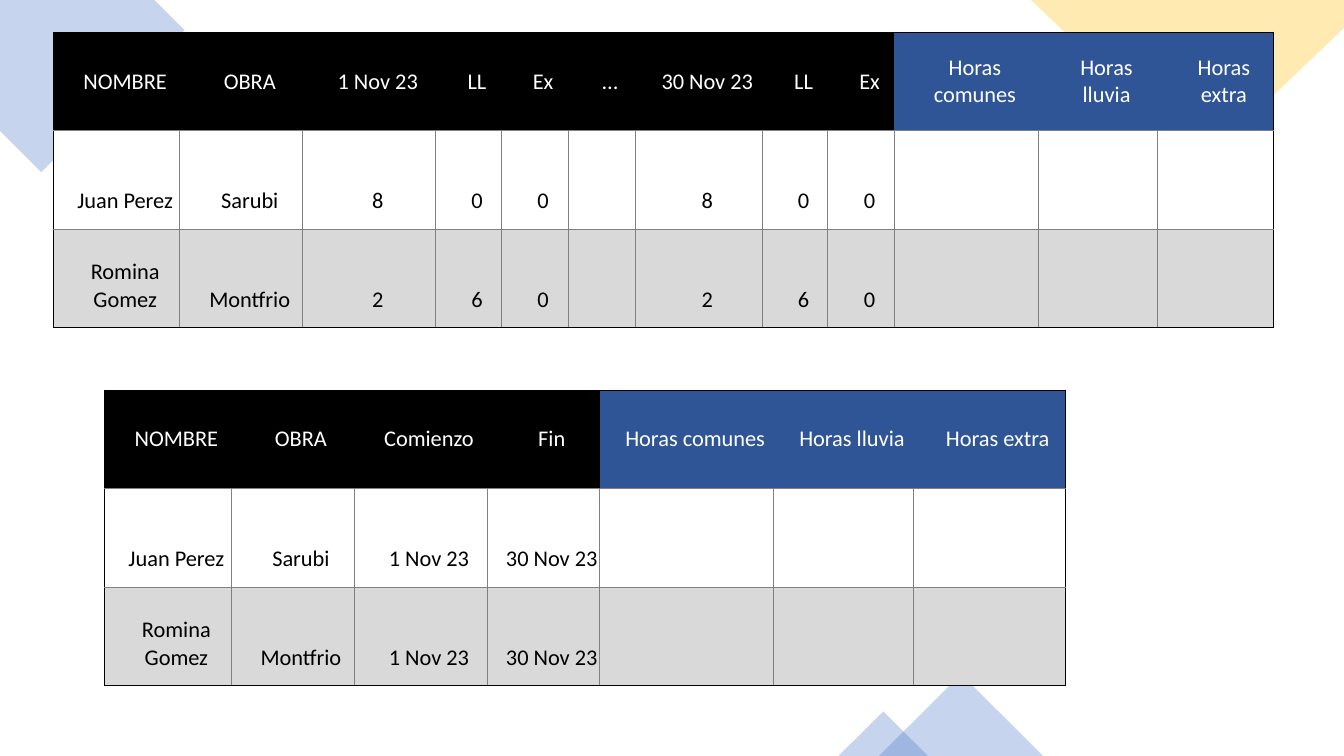
from lxml.etree import SubElement
from pptx import Presentation
from pptx.dml.color import RGBColor
from pptx.enum.shapes import MSO_SHAPE as Preset
from pptx.enum.text import MSO_ANCHOR as Anchor, PP_ALIGN as Align
from pptx.oxml.ns import qn
from pptx.util import Cm, Pt

BLACK = RGBColor(0x00, 0x00, 0x00)
WHITE = RGBColor(0xFF, 0xFF, 0xFF)
GRAY = RGBColor(0x80, 0x80, 0x80)
LIGHT_GRAY = RGBColor(0xD9, 0xD9, 0xD9)
BLUE = RGBColor(0x44, 0x72, 0xC4)
DARK_BLUE = RGBColor(0x2F, 0x55, 0x97)
GOLD = RGBColor(0xFF, 0xC0, 0x00)

PLAIN_TABLE_STYLE = "{2D5ABB26-0587-4C30-8999-92F81FD0307C}"
TOTALS = ["Horas comunes", "Horas lluvia", "Horas extra"]


class SlideBuilder:
    """Hold the shared style and the slide being built."""

    font_name = "Calibri"
    font_size = Pt(16)
    opacity = 30
    row_height = Cm(2.48)
    outer_edge = (BLACK, Pt(1))
    inner_edge = (GRAY, Pt(0.5))

    def __init__(self, slide):
        """Start on the given slide."""
        self.slide = slide

    def tint(self, shape, color):
        """Give a decorative shape a translucent fill and no outline."""
        shape.shadow.inherit = False
        shape.line.fill.background()
        shape.fill.solid()
        shape.fill.fore_color.rgb = color
        color_element = shape.fill._xPr.find(qn("a:solidFill"))[0]
        SubElement(color_element, qn("a:alpha"), val=str(self.opacity * 1000))

    def preset(self, kind, left, top, width, height, color, rotation=0):
        """Add a translucent preset shape, measured in centimetres."""
        shape = self.slide.shapes.add_shape(
            kind, Cm(left), Cm(top), Cm(width), Cm(height))
        shape.rotation = rotation
        self.tint(shape, color)

    def polygon(self, points, color):
        """Add a translucent closed outline through points in centimetres."""
        start, *others = [(Cm(x), Cm(y)) for x, y in points]
        builder = self.slide.shapes.build_freeform(*start, scale=1.0)
        builder.add_line_segments(others, close=True)
        self.tint(builder.convert_to_shape(), color)

    def table(self, left, top, widths, rows):
        """Add an hours table whose last columns are the totals."""
        frame = self.slide.shapes.add_table(
            len(rows), len(widths), Cm(left), Cm(top),
            Cm(sum(widths)), self.row_height * len(rows))
        table = frame.table
        table._tbl.tblPr.find(qn("a:tableStyleId")).text = PLAIN_TABLE_STYLE
        table.first_row = table.horz_banding = False
        for column, width in zip(table.columns, widths):
            column.width = Cm(width)
        last_row, last_column = len(rows) - 1, len(widths) - 1
        fills = [BLACK, WHITE, LIGHT_GRAY]
        for row, texts in enumerate(rows):
            table.rows[row].height = self.row_height
            for column, text in enumerate(texts):
                cell = table.cell(row, column)
                is_header = row == 0
                is_total = column > last_column - len(TOTALS)
                self.borders(cell, {
                    "L": column == 0, "R": column == last_column,
                    "T": row == 0, "B": row == last_row}, is_header)
                cell.fill.solid()
                cell.fill.fore_color.rgb = (
                    DARK_BLUE if is_header and is_total else fills[row])
                if text:
                    self.cell_text(cell, text, is_header)

    def borders(self, cell, outer_sides, is_header):
        """Draw the table's outline, and inner lines below the header."""
        properties = cell._tc.get_or_add_tcPr()
        for side, is_outer in outer_sides.items():
            if is_header and not is_outer:
                continue
            color, width = self.outer_edge if is_outer else self.inner_edge
            line = SubElement(properties, qn(f"a:ln{side}"), w=str(width))
            fill = SubElement(line, qn("a:solidFill"))
            SubElement(fill, qn("a:srgbClr"), val=str(color))

    def cell_text(self, cell, text, is_header):
        """Write centred text, in the middle of headers, else at the bottom."""
        cell.margin_left, cell.margin_right = Cm(0.46), Cm(0.03)
        cell.margin_top = cell.margin_bottom = Cm(0.36)
        cell.vertical_anchor = Anchor.MIDDLE if is_header else Anchor.BOTTOM
        cell.text_frame.text = text
        paragraph = cell.text_frame.paragraphs[0]
        paragraph.alignment = Align.CENTER
        font = paragraph.runs[0].font
        font.name, font.size = self.font_name, self.font_size
        font.color.rgb = WHITE if is_header else BLACK


def add_decoration(builder):
    """Add the corner shapes behind the tables."""
    builder.polygon(
        [(3.89, 0), (0, 0), (0, 3.3), (1.04, 4.34), (4.65, 0.76)], BLUE)
    builder.preset(Preset.RECTANGLE, 2.49, 1.17, 1.8, 1.8, BLUE, 315)
    builder.preset(Preset.RECTANGLE, 27.89, 1.83, 1.9, 1.9, GOLD, 315)
    builder.polygon(
        [(33.87, 0), (25.98, 0), (30.3, 4.11), (33.87, 0.71)], GOLD)
    builder.preset(Preset.ISOSCELES_TRIANGLE, 22.15, 16.99, 4.14, 2.06, BLUE)
    builder.preset(Preset.ISOSCELES_TRIANGLE, 21.13, 17.93, 2.26, 1.12, BLUE)


def add_tables(builder):
    """Add the daily hours table and the period summary table."""
    no_totals = [""] * len(TOTALS)
    person_widths = [3.18, 3.1, 3.35]
    rain_extra = ["LL", "Ex"]
    regular_day, rainy_day = ["8", "0", "0"], ["2", "6", "0"]
    juan, romina = ["Juan Perez", "Sarubi"], ["Romina Gomez", "Montfrio"]
    heading = ["NOMBRE", "OBRA"]
    period = ["1 Nov 23", "30 Nov 23"]
    first_day, last_day = period

    builder.table(
        1.35, 0.81,
        person_widths + [1.65, 1.68, 1.7, 3.2, 1.65, 1.68, 3.63, 3, 2.92],
        [heading + [first_day, *rain_extra, "…", last_day, *rain_extra] + TOTALS,
         juan + regular_day + [""] + regular_day + no_totals,
         romina + rainy_day + [""] + rainy_day + no_totals])
    builder.table(
        2.64, 9.83, person_widths + [2.84, 4.39, 3.51, 3.84],
        [heading + ["Comienzo", "Fin"] + TOTALS,
         juan + period + no_totals,
         romina + period + no_totals])


def main():
    """Build and save the presentation."""
    presentation = Presentation()
    presentation.slide_width, presentation.slide_height = Cm(33.87), Cm(19.05)
    blank_layout = presentation.slide_layouts[6]
    builder = SlideBuilder(presentation.slides.add_slide(blank_layout))
    add_decoration(builder)
    add_tables(builder)
    presentation.save("out.pptx")


main()
